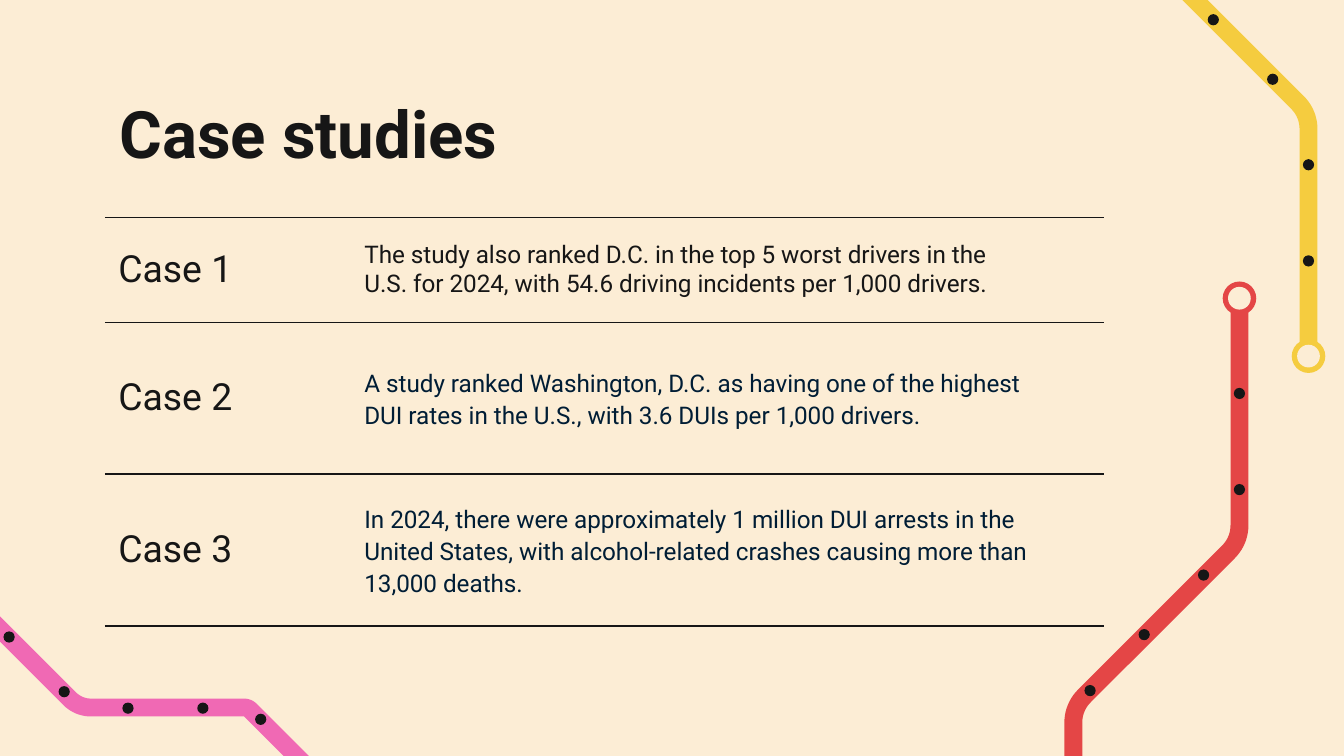
from math import atan2, cos, pi, sin, tan

from lxml.etree import SubElement
from pptx import Presentation
from pptx.dml.color import RGBColor
from pptx.enum.shapes import MSO_SHAPE
from pptx.enum.text import MSO_ANCHOR
from pptx.oxml import parse_xml
from pptx.oxml.ns import nsdecls, qn
from pptx.util import Pt

PLAIN_TABLE = "{2D5ABB26-0587-4C30-8999-92F81FD0307C}"


def colour(code):
    return RGBColor.from_string(code)


def track_outline(route, width, steps=10):
    """Outline of a band along (x, y, bend radius) corners."""
    def heading(a, b):
        return atan2(b[1] - a[1], b[0] - a[0])

    first, second = route[:2]
    centreline = [(first[0], first[1], heading(first, second))]
    for before, corner, after in zip(route, route[1:], route[2:]):
        x, y, radius = corner
        start = heading(before, corner)
        turn = (heading(corner, after) - start + pi) % (2 * pi) - pi
        reach = radius * tan(abs(turn) / 2)
        bend = radius if turn > 0 else -radius
        centre_x = x - reach * cos(start) - bend * sin(start)
        centre_y = y - reach * sin(start) + bend * cos(start)
        for step in range(steps + 1):
            angle = start + turn * step / steps
            centreline.append((centre_x + bend * sin(angle),
                               centre_y - bend * cos(angle), angle))
    centreline.append((route[-1][0], route[-1][1], heading(route[-2], route[-1])))

    def side(half):
        return [(x - half * sin(a), y + half * cos(a)) for x, y, a in centreline]

    return side(width / 2) + side(-width / 2)[::-1]


class MetroSlide:
    font = "Roboto"
    ink = "161616"
    navy = "001D35"
    paper = "FCEDD5"
    track_width = 9.6

    def __init__(self, deck):
        self.slide = deck.slides.add_slide(deck.slide_layouts[6])
        self.slide.background.fill.solid()
        self.slide.background.fill.fore_color.rgb = colour(self.paper)

    def paint(self, shape, fill):
        shape.shadow.inherit = False
        shape.fill.solid()
        shape.fill.fore_color.rgb = colour(fill)
        shape.line.fill.background()

    def disc(self, x, y, size, fill):
        corner = Pt(x - size / 2), Pt(y - size / 2)
        self.paint(self.slide.shapes.add_shape(
            MSO_SHAPE.OVAL, *corner, Pt(size), Pt(size)), fill)

    def track(self, route, stops, fill, terminus=False):
        outline = [(Pt(x), Pt(y)) for x, y in track_outline(route, self.track_width)]
        builder = self.slide.shapes.build_freeform(*outline[0], scale=1.0)
        builder.add_line_segments(outline[1:], close=True)
        self.paint(builder.convert_to_shape(), fill)
        if terminus:
            self.disc(*route[0][:2], 18, fill)
            self.disc(*route[0][:2], 12.2, self.paper)
        for x, y in stops:
            self.disc(x, y, 6, self.ink)

    def add_words(self, paragraph, words, size, ink, bold=False):
        run = paragraph.add_run()
        run.text = words
        run.font.name = self.font
        run.font.size = Pt(size)
        run.font.bold = bold
        run.font.color.rgb = colour(ink)

    def title(self, words, left, top, width, height):
        frame = self.slide.shapes.add_textbox(
            Pt(left), Pt(top), Pt(width), Pt(height)).text_frame
        frame.word_wrap = True
        frame.margin_left = frame.margin_right = Pt(7.2)
        frame.margin_top = frame.margin_bottom = Pt(7.2)
        self.add_words(frame.paragraphs[0], words, 35, self.ink, bold=True)

    def rule_cell(self, cell):
        cell.fill.background()
        properties = cell._tc.get_or_add_tcPr()
        for position, edge in enumerate(("lnT", "lnB")):
            properties.insert(position, parse_xml(
                f'<a:{edge} {nsdecls("a")} w="{Pt(0.75)}"><a:solidFill>'
                f'<a:srgbClr val="{self.ink}"/></a:solidFill></a:{edge}>'))

    def case_table(self, cases, left, top, widths, heights):
        table = self.slide.shapes.add_table(
            len(cases), len(widths), Pt(left), Pt(top),
            Pt(sum(widths)), Pt(sum(heights))).table
        table.first_row = table.horz_banding = False
        properties = table._tbl.tblPr
        style = properties.find(qn("a:tableStyleId"))
        if style is None:
            style = SubElement(properties, qn("a:tableStyleId"))
        style.text = PLAIN_TABLE
        for column, width in zip(table.columns, widths):
            column.width = Pt(width)
        for row, height, (name, finding, ink, spaced) in zip(table.rows, heights, cases):
            row.height = Pt(height)
            for cell in row.cells:
                self.rule_cell(cell)
                cell.vertical_anchor = MSO_ANCHOR.MIDDLE
                cell.margin_left = cell.margin_right = Pt(7.2)
                cell.margin_top = cell.margin_bottom = Pt(5)
            label, detail = (row.cells[i].text_frame.paragraphs[0] for i in (0, 1))
            self.add_words(label, name, 20, self.ink)
            self.add_words(detail, finding, 13, ink)
            if spaced:
                detail.line_spacing = 1.15
                detail.space_before = Pt(8)
                detail.space_after = Pt(21)


def main():
    deck = Presentation()
    deck.slide_width, deck.slide_height = Pt(720), Pt(405)
    page = MetroSlide(deck)

    # Yellow line, top right
    yellow_route = [(701, 190.8, 0), (701, 60.8, 20), (612, -28.2, 20),
                    (612, -89.3, 20), (535, -166.3, 0)]
    yellow_stops = [(701, 88.3), (701, 139.8), (650, 10.6), (681.8, 42.5)]
    page.track(yellow_route, yellow_stops, "F5CC3F", terminus=True)

    # Pink line, bottom left
    pink_route = [(191.5, 437.8, 0), (132.8, 379.1, 5), (42.1, 379.1, 16),
                  (-17.3, 319.7, 5), (-147.6, 319.7, 126),
                  (-147.6, 168.5, 17), (-60.5, 81.4, 0)]
    pink_stops = [(108.7, 379.4), (68.6, 379.4), (34.4, 370.6),
                  (4.9, 341.3), (139.7, 385.4)]
    page.track(pink_route, pink_stops, "F069B4")

    # Title and cases
    page.title("Case studies", 56.9, 42.5, 607, 45.4)
    page.case_table([
        ("Case 1", "The study also ranked D.C. in the top 5 worst drivers in the "
         "U.S. for 2024, with 54.6 driving incidents per 1,000 drivers.",
         page.ink, False),
        ("Case 2", "A study ranked Washington, D.C. as having one of the highest "
         "DUI rates in the U.S., with 3.6 DUIs per 1,000 drivers.",
         page.navy, True),
        ("Case 3", "In 2024, there were approximately 1 million DUI arrests in the "
         "United States, with alcohol-related crashes causing more than "
         "13,000 deaths.", page.navy, True),
    ], 56.2, 116.4, [131.8, 373, 30.2], [56.2, 81.4, 81.4])

    # Red line: the yellow one flipped upside down and moved left
    red_route = [(x - 37, 350.6 - y, radius) for x, y, radius in yellow_route]
    red_stops = [(x - 37, 350.6 - y) for x, y in yellow_stops] + [(584, 370)]
    page.track(red_route, red_stops, "E44646", terminus=True)

    deck.save("out.pptx")


if __name__ == "__main__":
    main()
